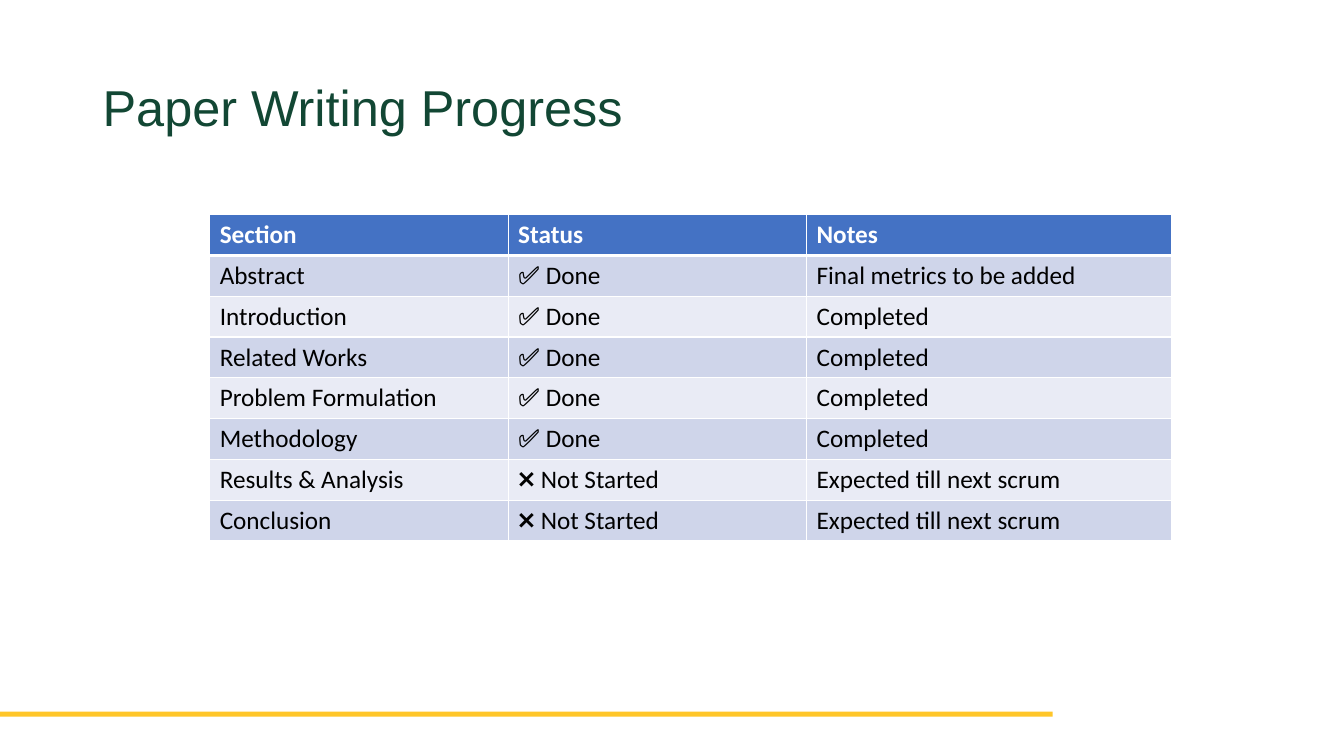
from lxml.etree import SubElement
from pptx import Presentation
from pptx.dml.color import RGBColor
from pptx.enum.shapes import MSO_SHAPE as Shape
from pptx.enum.text import MSO_ANCHOR as Anchor
from pptx.oxml.ns import qn
from pptx.util import Inches, Pt

GREEN = RGBColor(0x12, 0x47, 0x34)
GOLD = RGBColor(0xFF, 0xC6, 0x29)
BLUE = RGBColor(0x44, 0x72, 0xC4)
DARK = RGBColor(0xCF, 0xD5, 0xEA)
LIGHT = RGBColor(0xE9, 0xEB, 0xF5)
WHITE = RGBColor(0xFF, 0xFF, 0xFF)
BLACK = RGBColor(0, 0, 0)

DONE, OPEN = "✅ Done", "❌ Not Started"
ROWS = [
    ("Section", "Status", "Notes"),
    ("Abstract", DONE, "Final metrics to be added"),
    ("Introduction", DONE, "Completed"),
    ("Related Works", DONE, "Completed"),
    ("Problem Formulation", DONE, "Completed"),
    ("Methodology", DONE, "Completed"),
    ("Results & Analysis", OPEN, "Expected till next scrum"),
    ("Conclusion", OPEN, "Expected till next scrum"),
]
WIDTHS = (2.96, 2.96, 3.62)


def add_bar(slide, left, top, width, height):
    bar = slide.shapes.add_shape(
        Shape.RECTANGLE, Inches(left), Inches(top), Inches(width), Inches(height))
    bar.shadow.inherit = False
    bar.fill.solid()
    bar.fill.fore_color.rgb = GOLD
    bar.line.fill.background()


def add_title(slide, text, left, top, width, height):
    box = slide.shapes.add_textbox(
        Inches(left), Inches(top), Inches(width), Inches(height))
    box.text_frame.word_wrap = True
    para = box.text_frame.paragraphs[0]
    para.text = text
    para.line_spacing = 0.9
    para.font.name = "Arial"
    para.font.size = Pt(36)
    para.font.color.rgb = GREEN


def add_edges(cell, top, bottom):
    """Draw white cell borders, with the top and bottom widths in points."""
    props = cell._tc.get_or_add_tcPr()
    for side, width in (("L", 1), ("R", 1), ("T", top), ("B", bottom)):
        line = SubElement(props, qn(f"a:ln{side}"), w=str(Pt(width)))
        fill = SubElement(line, qn("a:solidFill"))
        SubElement(fill, qn("a:srgbClr"), val=str(WHITE))


def add_grid(slide, rows, left, top, width, height):
    table = slide.shapes.add_table(
        len(rows), len(WIDTHS), Inches(left), Inches(top),
        Inches(width), Inches(height)).table
    for col, size in zip(table.columns, WIDTHS):
        col.width = Inches(size)
    for r, row in enumerate(rows):
        table.rows[r].height = Inches(height / len(rows))
        head = r == 0
        for c, text in enumerate(row):
            cell = table.cell(r, c)
            # The rule under the header is thicker than the others
            add_edges(cell, 3 if r == 1 else 1, 3 if head else 1)
            cell.fill.solid()
            cell.fill.fore_color.rgb = BLUE if head else DARK if r % 2 else LIGHT
            cell.vertical_anchor = Anchor.MIDDLE
            para = cell.text_frame.paragraphs[0]
            para.text = text
            para.font.name = "Calibri"
            para.font.size = Pt(18)
            para.font.bold = head
            para.font.color.rgb = WHITE if head else BLACK


def main():
    deck = Presentation()
    deck.slide_width, deck.slide_height = Inches(13.33), Inches(7.5)
    slide = deck.slides.add_slide(deck.slide_layouts[6])
    # Footer bar, title and progress table
    add_bar(slide, 0, 7.06, 10.44, 0.05)
    add_title(slide, "Paper Writing Progress", 0.92, 0.77, 11.87, 0.82)
    add_grid(slide, ROWS, 2.08, 2.13, sum(WIDTHS), 3.24)
    deck.save("out.pptx")


if __name__ == "__main__":
    main()
